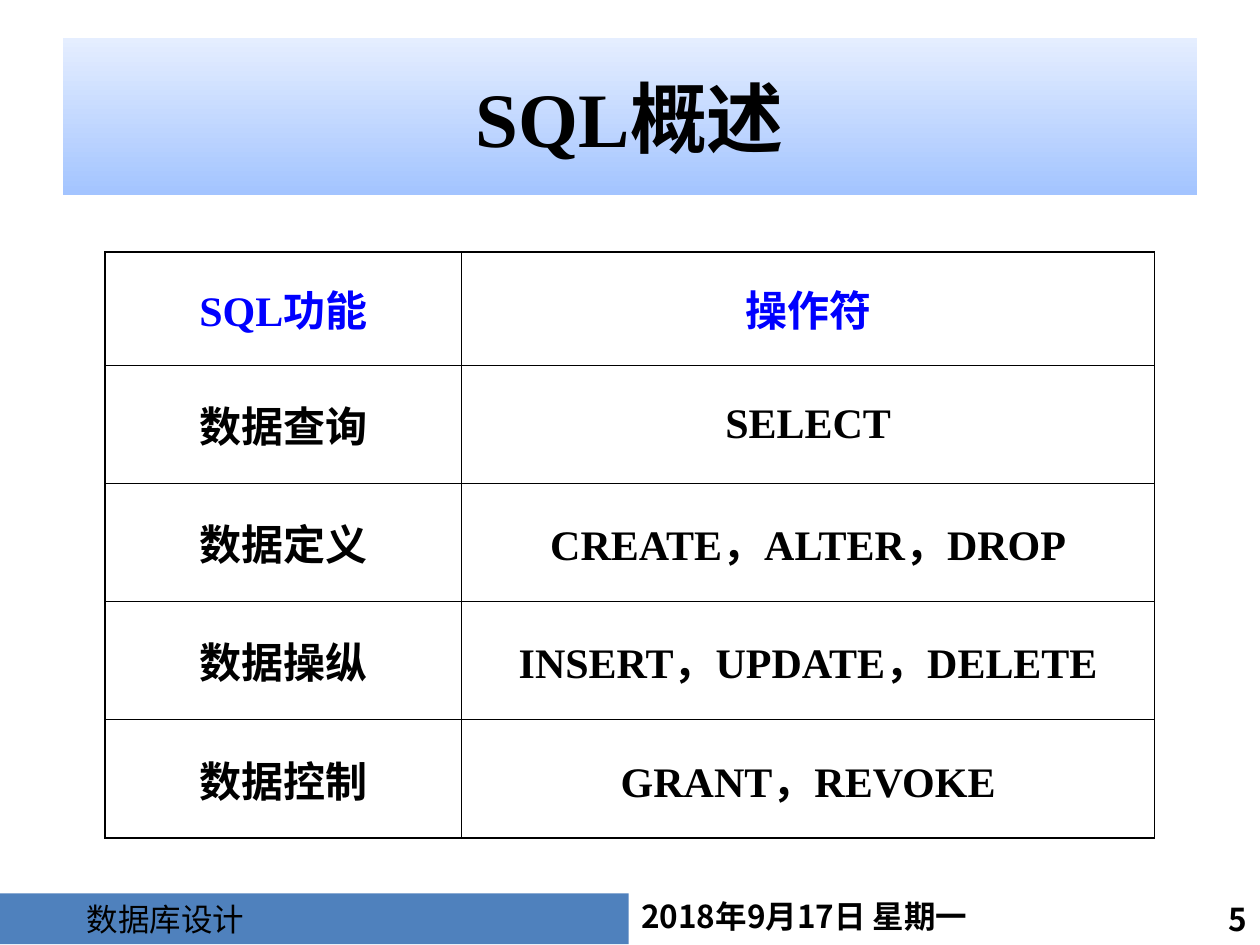
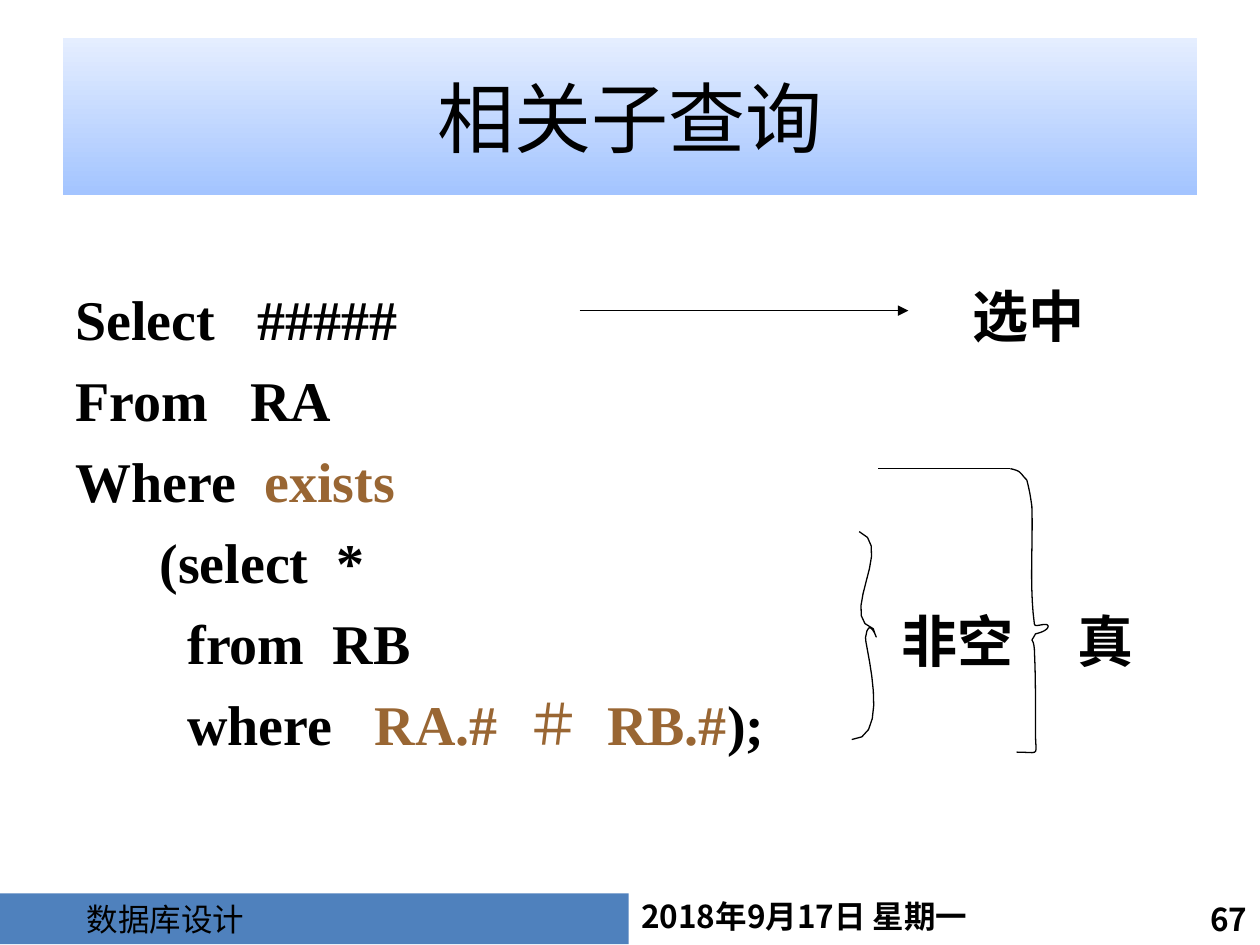
import pptx
import pptx.dml.color
import pptx.enum.shapes
import pptx.enum.text
import pptx.oxml
import pptx.oxml.ns
import pptx.util

Pt = pptx.util.Pt
RGBColor = pptx.dml.color.RGBColor
Align = pptx.enum.text.PP_ALIGN
Anchor = pptx.enum.text.MSO_ANCHOR

BLACK = RGBColor(0x00, 0x00, 0x00)
HEADER_BLUE = RGBColor(0x00, 0x00, 0xFF)
FOOTER_BLUE = RGBColor(0x4F, 0x81, 0xBD)
BAND_DARK = RGBColor(0xA3, 0xC4, 0xFF)
BAND_LIGHT = RGBColor(0xE5, 0xEE, 0xFF)
BROWN = RGBColor(0x99, 0x66, 0x33)

SERIF = "Times New Roman"
SANS = "Noto Sans CJK SC"
FOOTER_FONT = "Noto Sans CJK JP"

OPERATORS = [
    ("SQL功能", "操作符"),
    ("数据查询", "SELECT"),
    ("数据定义", "CREATE，ALTER，DROP"),
    ("数据操纵", "INSERT，UPDATE，DELETE"),
    ("数据控制", "GRANT，REVOKE"),
]

# Each line of code is a list of (text, colour, bold) pieces.
QUERY = [
    [("Select   #####", BLACK, True)],
    [("From   RA", BLACK, True)],
    [("Where  ", BLACK, True), ("exists", BROWN, True)],
    [("      (select  *", BLACK, True)],
    [("        from  RB", BLACK, True)],
    [("        where   ", BLACK, True), ("RA.#  ", BROWN, True),
     ("＃  ", BROWN, False), ("RB.#", BROWN, True), (");", BLACK, True)],
]

# A start point, then cubic segments of two control points and an end point.
INNER_BRACE = [
    (491, 303.8),
    (511.9, 311.8), (478.1, 352.8), (499, 359.3),
    (504, 374.4), (496.8, 347.8), (494.6, 364.3),
    (493.9, 367.9), (509.8, 422.6), (486.7, 422.6),
]
OUTER_BRACE = [
    (577.4, 267.8),
    (583.9, 269.3), (582.5, 270), (586.8, 274.3),
    (588.2, 279.4), (589, 284.4), (589.7, 289.4),
    (590.4, 311.8), (588.2, 334.8), (591.1, 356.4),
    (591.1, 359.3), (598.3, 355), (599, 357.8),
    (599, 360.7), (591.8, 362.2), (591.8, 362.2),
    (588.2, 368.6), (590.4, 362.9), (591.1, 370.8),
    (591.8, 385.2), (591.8, 400.3), (591.8, 414.7),
    (591.1, 433.4), (596.2, 429.8), (581, 429.8),
]


def curve_points(points, steps=10):
    """Sample a chain of cubic curves into points after the first one."""
    for i in range(0, len(points) - 1, 3):
        chain = points[i:i + 4]
        for step in range(1, steps + 1):
            t = step / steps
            weights = ((1 - t) ** 3, 3 * t * (1 - t) ** 2,
                       3 * t ** 2 * (1 - t), t ** 3)
            yield tuple(sum(w * point[axis] for w, point in zip(weights, chain))
                        for axis in (0, 1))


class SlideBuilder:
    def __init__(self):
        self.deck = pptx.Presentation()
        self.deck.slide_width = Pt(720)
        self.deck.slide_height = Pt(540)
        self.slide = None

    def new_slide(self, title, number, bold_title):
        self.slide = self.deck.slides.add_slide(self.deck.slide_layouts[6])
        self.text_box((359.3, 509, 256, 29), "2018年9月17日 星期一", 18, SANS)
        self.text_box((626.4, 510.5, 93.6, 29), number, 18, SANS,
                      align=Align.RIGHT)
        footer = self.rectangle((0, 510.5, 359.3, 29))
        footer.fill.solid()
        footer.fill.fore_color.rgb = FOOTER_BLUE
        self.fill_text(footer.text_frame, "数据库设计", 18, FOOTER_FONT, bold=False)
        footer.text_frame.margin_left = Pt(49.7)

        band = self.rectangle((36, 21.6, 648, 90))
        band.fill.gradient()
        band.fill.gradient_angle = 90
        for stop, color in zip(band.fill.gradient_stops, (BAND_DARK, BAND_LIGHT)):
            stop.color.rgb = color
        self.fill_text(band.text_frame, title, 44, SERIF, bold=bold_title,
                       align=Align.CENTER)

    def rectangle(self, bounds):
        shape = self.slide.shapes.add_shape(
            pptx.enum.shapes.MSO_SHAPE.RECTANGLE, *map(Pt, bounds))
        shape.shadow.inherit = False
        shape.line.fill.background()
        return shape

    def text_box(self, bounds, text, size, font, align=Align.LEFT):
        box = self.slide.shapes.add_textbox(*map(Pt, bounds))
        self.fill_text(box.text_frame, text, size, font, align=align)
        return box

    def fill_text(self, frame, text, size, font, bold=True, align=Align.LEFT):
        frame.text = text
        frame.word_wrap = True
        frame.vertical_anchor = Anchor.MIDDLE
        frame.margin_top = frame.margin_bottom = 0
        para = frame.paragraphs[0]
        para.alignment = align
        self.style(para.runs[0], size, font, BLACK, bold)

    def style(self, span, size, font, color, bold):
        span.font.size = Pt(size)
        span.font.name = font
        span.font.bold = bold
        span.font.color.rgb = color
        east_asian = pptx.oxml.parse_xml(
            f'<a:ea {pptx.oxml.ns.nsdecls("a")} '
            f'typeface="{SANS if font == SERIF else font}"/>')
        span._r.get_or_add_rPr().append(east_asian)

    def code(self, bounds, lines):
        box = self.slide.shapes.add_textbox(*map(Pt, bounds))
        frame = box.text_frame
        frame.word_wrap = True
        for i, line in enumerate(lines):
            para = frame.add_paragraph() if i else frame.paragraphs[0]
            para.line_spacing = Pt(46.3)
            for text, color, bold in line:
                span = para.add_run()
                span.text = text
                self.style(span, 32, SERIF, color, bold)

    def table(self, left, top, widths, heights, rows):
        grid = self.slide.shapes.add_table(
            len(rows), len(widths), Pt(left), Pt(top),
            Pt(sum(widths)), Pt(sum(heights))).table
        grid.first_row = grid.horz_banding = False
        for column, width in zip(grid.columns, widths):
            column.width = Pt(width)
        for r, (row, height) in enumerate(zip(rows, heights)):
            grid.rows[r].height = Pt(height)
            for c, text in enumerate(row):
                cell = grid.cell(r, c)
                cell.text = text
                cell.vertical_anchor = Anchor.MIDDLE
                para = cell.text_frame.paragraphs[0]
                para.alignment = Align.CENTER
                self.style(para.runs[0], 24, SERIF,
                           BLACK if r else HEADER_BLUE, True)
                self.borders(cell, {"L": c == 0, "R": c == len(widths) - 1,
                                    "T": r == 0, "B": r == len(rows) - 1})
                cell.fill.background()

    def borders(self, cell, outer_sides):
        """Draw thick borders on the outer sides and thin ones elsewhere."""
        properties = cell._tc.get_or_add_tcPr()
        for side, is_outer in outer_sides.items():
            width = Pt(1.08 if is_outer else 0.45)
            properties.append(pptx.oxml.parse_xml(
                f'<a:ln{side} {pptx.oxml.ns.nsdecls("a")} w="{width}"><a:solidFill>'
                f'<a:srgbClr val="{BLACK}"/></a:solidFill></a:ln{side}>'))

    def line(self, start, end, arrow=False):
        connector = self.slide.shapes.add_connector(
            pptx.enum.shapes.MSO_CONNECTOR.STRAIGHT, *map(Pt, start + end))
        connector.line.width = Pt(0.75)
        connector.line.color.rgb = BLACK
        namespace = pptx.oxml.ns.nsdecls("a")
        if arrow:
            connector.line._get_or_add_ln().append(pptx.oxml.parse_xml(
                f'<a:tailEnd {namespace} type="triangle"/>'))
        connector._element.spPr.append(
            pptx.oxml.parse_xml(f'<a:effectLst {namespace}/>'))

    def brace(self, points):
        builder = self.slide.shapes.build_freeform(*map(Pt, points[0]))
        builder.add_line_segments(
            [(Pt(x), Pt(y)) for x, y in curve_points(points)], close=False)
        shape = builder.convert_to_shape()
        shape.shadow.inherit = False
        shape.fill.background()
        shape.line.width = Pt(0.75)
        shape.line.color.rgb = BLACK


def main():
    builder = SlideBuilder()

    builder.new_slide("SQL概述", "5", bold_title=True)
    builder.table(60, 144, [203.8, 396], [64.8] + [67.5] * 4, OPERATORS)

    builder.new_slide("相关子查询", "67", bold_title=False)
    builder.code((36, 151.3, 450, 288), QUERY)
    for label, left, middle in (("选中", 556, 180), ("非空", 515, 365.6),
                                ("真", 615.5, 365.6)):
        box = builder.text_box((left, middle - 24, 32 * len(label) + 6, 48),
                               label, 32, SERIF)
        box.text_frame.margin_left = box.text_frame.margin_right = 0
    builder.brace(INNER_BRACE)
    builder.brace(OUTER_BRACE)
    builder.line((331.2, 177.5), (519.1, 177.5), arrow=True)
    builder.line((501.8, 267.8), (577.4, 267.8))

    builder.deck.save("out.pptx")


if __name__ == "__main__":
    main()
